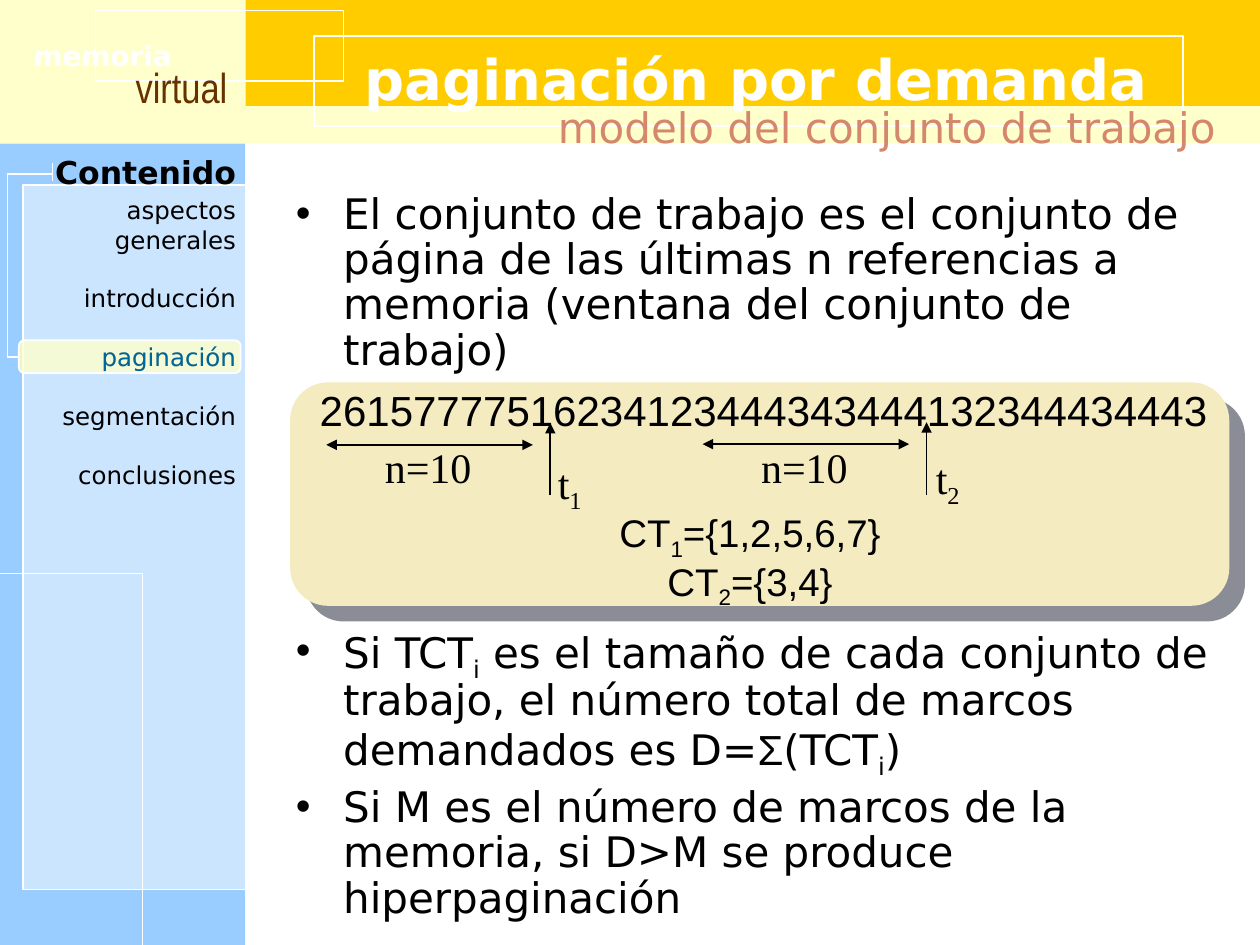
from lxml import etree
from pptx import Presentation
from pptx.dml.color import RGBColor
from pptx.enum import shapes, text
from pptx.oxml.ns import qn
from pptx.util import Pt

WHITE = RGBColor(0xFF, 0xFF, 0xFF)
BLACK = RGBColor(0, 0, 0)
CREAM = RGBColor(0xFF, 0xFF, 0xCC)
GOLD = RGBColor(0xFF, 0xCC, 0x00)
BLUE = RGBColor(0x99, 0xCC, 0xFF)
SKY = RGBColor(0x66, 0xCC, 0xFF)
TEAL = RGBColor(0x00, 0x66, 0x99)
BROWN = RGBColor(0x66, 0x33, 0x00)
CORAL = RGBColor(0xD4, 0x87, 0x6C)
SAND = RGBColor(0xF5, 0xEB, 0xC1)
NAVY = RGBColor(0x16, 0x1D, 0x2E)

SANS, SERIF, ARIAL = "DejaVu Sans", "Times New Roman", "Arial"
RECT = shapes.MSO_SHAPE.RECTANGLE
ROUND = shapes.MSO_SHAPE.ROUNDED_RECTANGLE
LEFT, MID, RIGHT = text.PP_ALIGN.LEFT, text.PP_ALIGN.CENTER, text.PP_ALIGN.RIGHT


def sub(top, tag, **atts):
    return etree.SubElement(top, qn(tag), {k: str(v) for k, v in atts.items()})


def fade(top, share):
    """Make the solid colour below an element partly clear."""
    sub(top.find(".//" + qn("a:srgbClr")), "a:alpha", val=share * 1000)


def box(slide, kind, at, fill=None, line=None, width=0.75, alpha=None):
    shape = slide.shapes.add_shape(kind, *map(Pt, at))
    shape.shadow.inherit = False
    if fill is None:
        shape.fill.background()
    else:
        shape.fill.solid()
        shape.fill.fore_color.rgb = fill
    if alpha:
        fade(shape._element.spPr, alpha)
    if line is None:
        shape.line.fill.background()
    else:
        shape.line.color.rgb = line
        shape.line.width = Pt(width)
    return shape


def cast(shape, color, alpha, dist, angle):
    """Give a shape an offset shadow."""
    list_ = shape._element.spPr.find(qn("a:effectLst"))
    shade = sub(list_, "a:outerShdw", dist=Pt(dist), dir=angle * 60000)
    sub(shade, "a:srgbClr", val=color)
    fade(list_, alpha)


def bullet(para):
    props = para._p.get_or_add_pPr()
    props.set("marL", str(Pt(27)))
    props.set("indent", str(-Pt(27)))
    sub(sub(props, "a:buClr"), "a:srgbClr", val=BLACK)
    sub(props, "a:buFont", typeface=ARIAL)
    sub(props, "a:buChar", char="•")


def label(slide, at, lines, size, font=SANS, color=BLACK, align=RIGHT,
          bold=False, wrap=True, gaps=(), dots=False, space=None):
    """Write one paragraph a line; "|" parts runs and "_" starts a subscript."""
    frame = slide.shapes.add_textbox(*map(Pt, at)).text_frame
    frame.word_wrap = wrap
    for i, line in enumerate(lines):
        para = frame.paragraphs[0] if i == 0 else frame.add_paragraph()
        if dots:
            bullet(para)
        para.alignment = align
        if space:
            para.line_spacing = space[i]
        if i:
            para.space_before = Pt(gaps[i - 1])
        para.font.size, para.font.name = Pt(size), font
        para.font.bold, para.font.color.rgb = bold, color
        for part in line.split("|"):
            run = para.add_run()
            run.text = part.lstrip("_")
            if part.startswith("_"):
                run.font._element.set("baseline", "-25000")
            if part == "Σ":
                run.font.name = ARIAL
    return frame


def rule(slide, x1, y1, x2, y2, color=BLACK, width=1, ends=()):
    line = slide.shapes.add_connector(
        shapes.MSO_CONNECTOR.STRAIGHT, *map(Pt, (x1, y1, x2, y2)))
    line.line.color.rgb = color
    line.line.width = Pt(width)
    for end in ends:
        sub(line.line._get_or_add_ln(), end, type="triangle")
    sub(line._element.spPr, "a:effectLst")


def head(slide):
    # Bands and frames
    box(slide, RECT, (0, 0, 720, 82), CREAM)
    box(slide, RECT, (140.4, 0, 579.6, 60.5), GOLD)
    box(slide, RECT, (179.3, 20.5, 496.8, 51.5), line=WHITE, width=1)
    box(slide, RECT, (54.7, 6, 141.8, 40.3), line=WHITE)


def side(slide):
    # Panels
    box(slide, RECT, (0, 82, 140, 458), BLUE)
    box(slide, RECT, (-1.4, 327.6, 83, 213), line=WHITE)
    box(slide, RECT, (13.2, 105.8, 127.2, 402.5), WHITE, WHITE, alpha=50)
    # Menu
    label(slide, (10, 108, 132, 176),
          ["aspectos generales", "introducción", "paginación",
           "segmentación", "conclusiones"], 14, gaps=[16.8] * 4)
    label(slide, (0, 84, 142, 29), ["Contenido"], 18, bold=True)


def titles(slide):
    # Course name: outlined pale word above a plain one
    name = label(slide, (12, 18.5, 97, 37), ["memoria"], 16, color=SKY,
                 align=LEFT, bold=True)
    font = name.paragraphs[0].runs[0].font
    font.color.rgb = SKY
    props = font._element
    fade(props, 25)
    edge = sub(props, "a:ln", w=Pt(0.75))
    sub(sub(edge, "a:solidFill"), "a:srgbClr", val=WHITE)
    props.insert(0, edge)
    label(slide, (16, 31.7, 121, 36), ["virtual"], 24, "Arial Narrow", BROWN)
    # Slide title
    title = label(slide, (149.8, 16, 564.5, 57.5), ["paginación por demanda"],
                  32, color=WHITE, align=MID, bold=True)
    title.vertical_anchor = text.MSO_ANCHOR.MIDDLE
    label(slide, (140.4, 54.3, 561.6, 41), ["modelo del conjunto de trabajo"],
          24, color=CORAL)


def mark(slide):
    # Current menu entry and the path that leads to it
    rule(slide, 30, 93, 30, 103.5, WHITE, 0.75)
    pill = box(slide, ROUND, (10.8, 194.5, 126.7, 18.7), CREAM, WHITE, 1, 80)
    pill.adjustments[0] = 0.167
    label(slide, (10, 192.2, 132, 24.5), ["paginación"], 14, color=TEAL)
    pen = slide.shapes.build_freeform(Pt(30), Pt(99.3))
    pen.add_line_segments(
        [(Pt(x), Pt(y)) for x, y in ((4.3, 99.3), (4.3, 203.8), (10, 203.8))],
        close=False)
    trail = pen.convert_to_shape()
    trail.shadow.inherit = False
    trail.fill.background()
    trail.line.color.rgb = WHITE
    trail.line.width = Pt(1)


def body(slide):
    label(slide, (162, 106.7, 544.5, 409), [
        "El conjunto de trabajo es el conjunto de página de las últimas n "
        "referencias a memoria (ventana del conjunto de trabajo)",
        "Si TCT|_i| es el tamaño de cada conjunto de trabajo, el número total "
        "de marcos demandados es D=|Σ|(TCT|_i|)",
        "Si M es el número de marcos de la memoria, si D>M se produce "
        "hiperpaginación",
    ], 24, align=LEFT, gaps=(144.5, 6), dots=True, space=(0.9,) * 3)


def trace(slide):
    # Card with the reference string
    card = box(slide, ROUND, (166.3, 219, 535.7, 126.7), SAND, SAND, 1)
    card.adjustments[0] = 0.167
    cast(card, NAVY, 50, 12.7, 45)
    label(slide, (167, 216, 530, 36),
          ["26157777516234123444343444132344434443"], 24, ARIAL, wrap=False)
    # Two windows, each with its span and its instant
    for i, (x, y) in enumerate(((186.5, 254.2), (401.5, 253.8)), 1):
        rule(slide, x, y, x + 118, y, ends=("a:headEnd", "a:tailEnd"))
        label(slide, (x + 26, y - 5.3, 64, 36), ["n=10"], 24, SERIF, wrap=False)
        rule(slide, x + 128, y + 28.8, x + 128, y - 12.5, ends=("a:tailEnd",))
        label(slide, (x + 124 + i, y + 6 - 2.5 * i, 28, 40), [f"t|_{i}"], 24,
              SERIF, wrap=False)
    # Resulting working sets
    sets = label(slide, (335.3, 287.3, 186.5, 61),
                 ["CT|_1|={1,2,5,6,7}", "CT|_2|={3,4}"], 22, ARIAL,
                 align=MID, gaps=(5.5,), space=(1.0, 0.6))
    sets.margin_bottom = 0


def main():
    deck = Presentation()
    deck.slide_width, deck.slide_height = Pt(720), Pt(540)
    slide = deck.slides.add_slide(deck.slide_layouts[6])
    for part in (head, side, titles, mark, body, trace):
        part(slide)
    deck.save("out.pptx")


if __name__ == "__main__":
    main()
